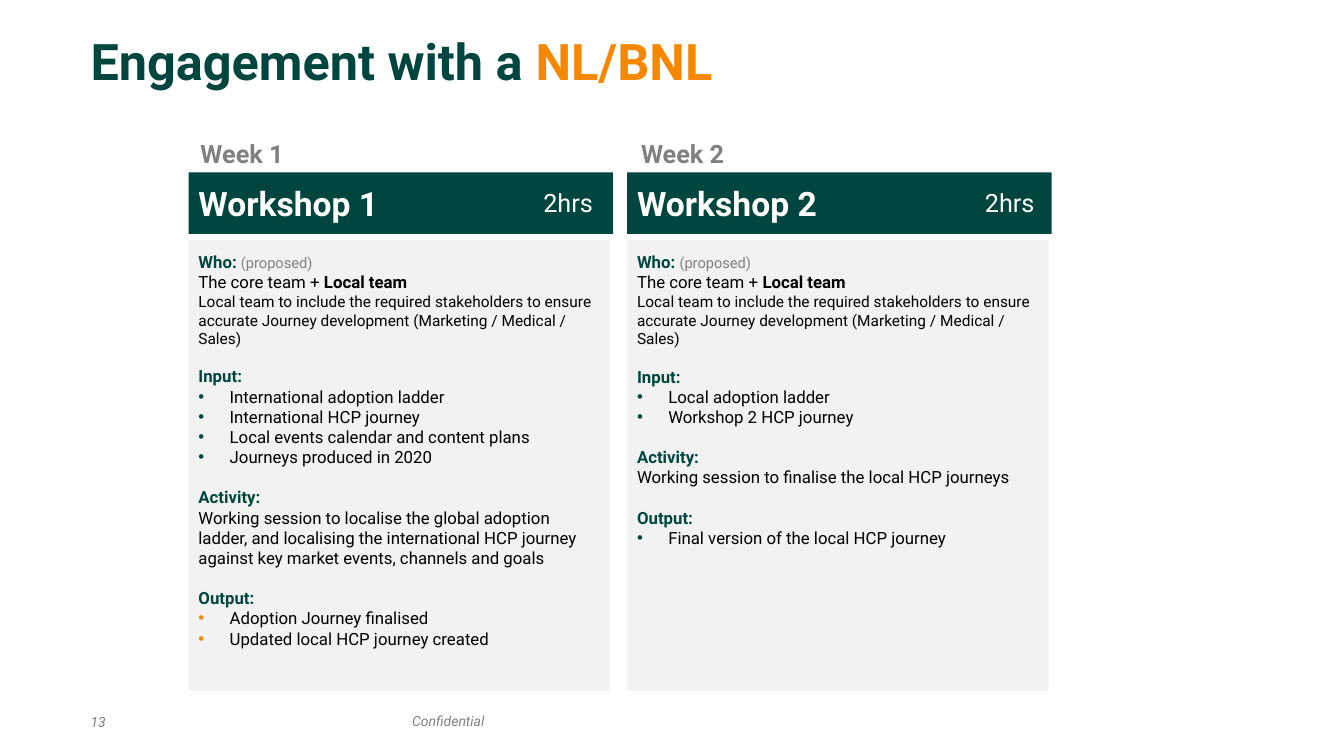
"""Build the engagement slide with its two workshop columns."""
from dataclasses import dataclass

from lxml import etree
from pptx import Presentation
from pptx import util as u
from pptx.dml import color
from pptx.enum import shapes, text
from pptx.oxml import ns

COLORS = {"green": "00463E", "orange": "F58800", "gray": "808080",
          "panel": "F2F2F2", "white": "FFFFFF", "black": "000000"}


@dataclass(frozen=True)
class Span:
    words: str
    size: float = 12
    color: str = "black"
    bold: bool = False
    italic: bool = False


@dataclass(frozen=True)
class Para:
    spans: tuple[Span, ...]
    bullet: str = ""
    before: float = 0


@dataclass(frozen=True)
class Workshop:
    number: int
    left: float
    week_left: float
    hours_left: float
    height: float
    inputs: tuple[str, ...]
    activity: str
    outputs: tuple[str, ...]
    output_bullet: str


WORKSHOPS = (
    Workshop(1, 1.87, 1.89, 5.29, 4.26,
             ("International adoption ladder", "International HCP journey",
              "Local events calendar and content plans", "Journeys produced in 2020"),
             "Working session to localise the global adoption ladder, and localising "
             "the international HCP journey against key market events, channels and goals",
             ("Adoption Journey finalised", "Updated local HCP journey created"), "orange"),
    Workshop(2, 6.22, 6.26, 9.67, 3.25,
             ("Local adoption ladder", "Workshop 2 HCP journey"),
             "Working session to finalise the local HCP journeys",
             ("Final version of the local HCP journey",), "green"),
)


def rgb(name: str) -> color.RGBColor:
    return color.RGBColor.from_string(COLORS[name])


def add_bullet(paragraph, name: str) -> None:
    props = paragraph._p.get_or_add_pPr()
    props.set("marL", str(u.Inches(0.31)))
    props.set("indent", str(u.Inches(-0.31)))
    tint = etree.SubElement(props, ns.qn("a:buClr"))
    etree.SubElement(tint, ns.qn("a:srgbClr"), val=COLORS[name])
    etree.SubElement(props, ns.qn("a:buFont"), typeface="Arial")
    etree.SubElement(props, ns.qn("a:buChar"), char="•")


def write(frame, paras: list[Para]) -> None:
    for index, para in enumerate(paras):
        paragraph = frame.add_paragraph() if index else frame.paragraphs[0]
        paragraph.alignment = text.PP_ALIGN.LEFT
        if para.before:
            paragraph.space_before = u.Pt(para.before)
        if para.bullet:
            add_bullet(paragraph, para.bullet)
        for span in para.spans:
            run = paragraph.add_run()
            run.text = span.words
            formats = {"name": "Roboto", "size": u.Pt(span.size),
                       "bold": span.bold, "italic": span.italic}
            for key, value in formats.items():
                setattr(run.font, key, value)
            run.font.color.rgb = rgb(span.color)


def add_text(page, place: tuple[float, ...], paras: list[Para], **formats):
    box = page.shapes.add_textbox(*map(u.Inches, place))
    frame = box.text_frame
    settings = {"word_wrap": True, "auto_size": text.MSO_AUTO_SIZE.SHAPE_TO_FIT_TEXT}
    for key, value in (settings | formats).items():
        setattr(frame, key, value)
    write(frame, paras)


def add_block(page, place: tuple[float, ...], fill: str):
    block = page.shapes.add_shape(shapes.MSO_SHAPE.RECTANGLE, *map(u.Inches, place))
    block.shadow.inherit = False
    block.fill.solid()
    block.fill.fore_color.rgb = rgb(fill)
    block.line.fill.background()
    return block


def line(words: str, **formats) -> Para:
    return Para((Span(words, **formats),))


def heading(words: str, before: float = 14.4) -> Para:
    return Para((Span(words, color="green", bold=True),), before=before)


def bullets(items: tuple[str, ...], tint: str) -> list[Para]:
    return [Para((Span(item),), bullet=tint) for item in items]


def details(workshop: Workshop) -> list[Para]:
    return [
        Para((Span("Who: ", color="green", bold=True), Span("(proposed)", 10.5, "gray"))),
        Para((Span("The core team + "), Span("Local team", bold=True))),
        line("Local team to include the required stakeholders to ensure accurate "
             "Journey development (Marketing / Medical / Sales)", size=11),
        heading("Input:", 13.2),
        *bullets(workshop.inputs, "green"),
        heading("Activity:"),
        line(workshop.activity),
        heading("Output:"),
        *bullets(workshop.outputs, workshop.output_bullet),
    ]


def add_workshop(page, workshop: Workshop) -> None:
    add_block(page, (workshop.left, 2.38, 4.18, 4.47), "panel")
    banner = add_block(page, (workshop.left, 1.71, 4.21, 0.61), "green")
    banner.text_frame.vertical_anchor = text.MSO_ANCHOR.MIDDLE
    write(banner.text_frame,
          [line(f"Workshop {workshop.number}", size=24, color="white", bold=True)])
    add_text(page, (workshop.left, 2.45, 4.13, workshop.height), details(workshop))
    add_text(page, (workshop.hours_left, 1.81, 0.71, 0.4),
             [line("2hrs", size=18, color="white")])
    add_text(page, (workshop.week_left, 1.32, 3.6, 0.4),
             [line(f"Week {workshop.number}", size=18, color="gray", bold=True)])


def main() -> None:
    deck = Presentation()
    deck.slide_width, deck.slide_height = u.Inches(13.33), u.Inches(7.5)
    page = deck.slides.add_slide(deck.slide_layouts[6])
    title = Para((Span("Engagement with a ", 36, "green", True),
                  Span("NL/BNL", 36, "orange", True)))
    add_text(page, (0.8, 0.28, 11.82, 1.42), [title], margin_top=u.Inches(0.02),
             margin_bottom=0, auto_size=text.MSO_AUTO_SIZE.NONE)
    for words, place in (("Confidential", (3.99, 7.02, 0.93, 0.27)),
                         ("13", (0.8, 7.03, 0.41, 0.27))):
        add_text(page, place, [line(words, size=10, color="gray", italic=True)],
                 word_wrap=False)
    for workshop in WORKSHOPS:
        add_workshop(page, workshop)
    deck.save("out.pptx")


if __name__ == "__main__":
    main()
